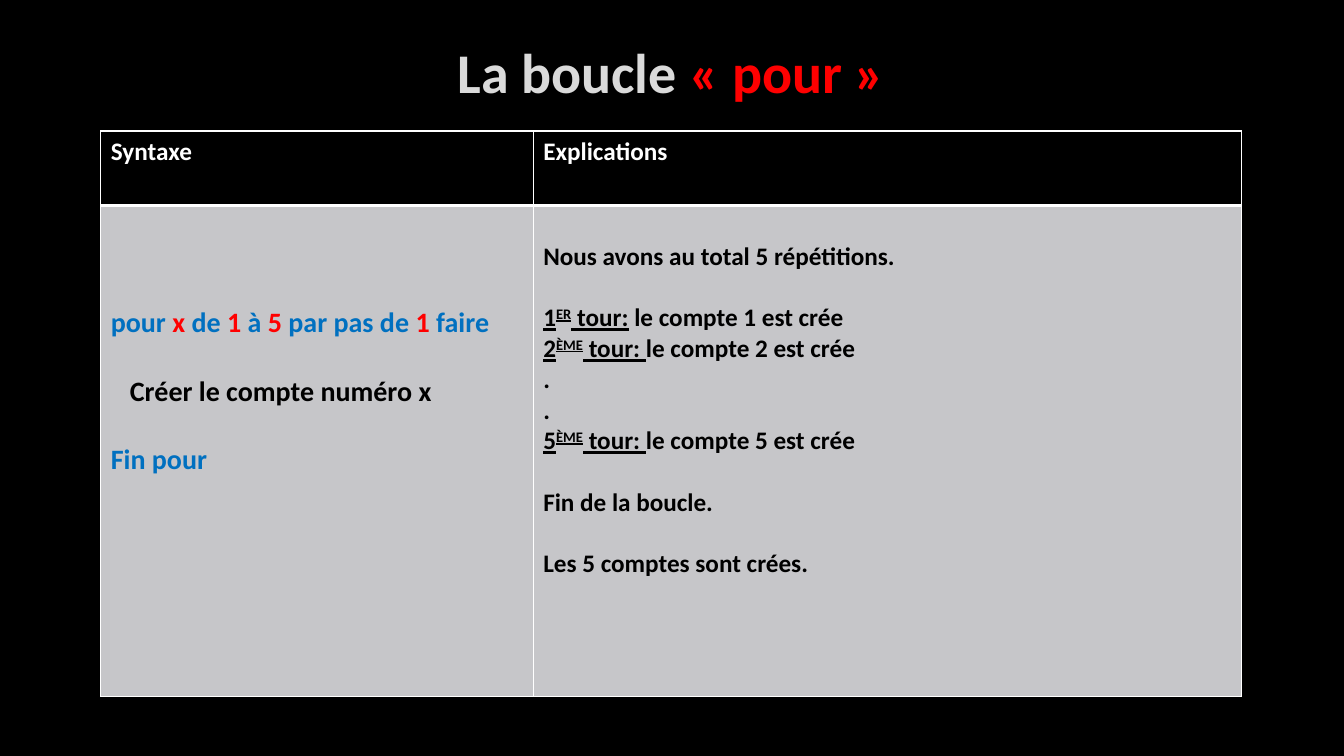
"""Build the slide that explains the « pour » loop with a syntax table."""
from pptx import Presentation
from pptx.dml.color import RGBColor
from pptx.enum.text import MSO_ANCHOR, PP_ALIGN
from pptx.oxml import parse_xml
from pptx.oxml.ns import nsdecls
from pptx.util import Pt

BLACK = RGBColor(0x00, 0x00, 0x00)
WHITE = RGBColor(0xFF, 0xFF, 0xFF)
SILVER = RGBColor(0xDA, 0xDA, 0xDA)
GREY = RGBColor(0xC6, 0xC6, 0xC9)
RED = RGBColor(0xFF, 0x00, 0x00)
BLUE = RGBColor(0x00, 0x70, 0xC0)

PLAIN, UNDERLINED, RAISED = "plain", "underlined", "raised"


def turn(number, ordinal, ending):
    """Return the runs that describe one turn of the loop."""
    return [(number, BLACK, UNDERLINED), (ordinal, BLACK, RAISED),
            (ending, BLACK, UNDERLINED),
            (f"le compte {number} est crée", BLACK, PLAIN)]


TITLE = [("La boucle ", SILVER, PLAIN), ("« pour »", RED, PLAIN)]
HEADINGS = ["Syntaxe", "Explications"]
LOOP_WORDS = ["pour ", "x ", "de ", "1 ", "à ", "5 ", "par pas de ", "1 ", "faire"]
LOOP_LINE = [(word, (BLUE, RED)[place % 2], PLAIN)
             for place, word in enumerate(LOOP_WORDS)]
FIRST_TURN = [("1", BLACK, UNDERLINED), ("ER", BLACK, RAISED),
              (" tour:", BLACK, UNDERLINED), (" le compte 1 est crée", BLACK, PLAIN)]
DOT = [(".", BLACK, PLAIN)]

# Each line: runs, blank lines before it, left indent
SYNTAX = [
    (LOOP_LINE, 0, 0),
    ([("Créer le compte numéro x", BLACK, PLAIN)], 1, 13.6),
    ([("Fin pour", BLUE, PLAIN)], 1, 0),
]
EXPLANATIONS = [
    ([("Nous avons au total 5 répétitions.", BLACK, PLAIN)], 0, 0),
    (FIRST_TURN, 1, 0),
    (turn("2", "ÈME", " tour: "), 0, 0),
    (DOT, 0, 0),
    (DOT, 0, 0),
    (turn("5", "ÈME", " tour: "), 0, 0),
    ([("Fin de la boucle.", BLACK, PLAIN)], 1, 0),
    ([("Les 5 comptes sont crées.", BLACK, PLAIN)], 1, 0),
]

LEFT, WIDTH = 72, 815.04
TITLE_TOP, TITLE_HEIGHT = 12.96, 76.32
TABLE_TOP = 93.6
COLUMN_WIDTHS = [308.88, 506.16]
ROW_HEIGHTS = [53.28, 350.64]
LINE_FACTOR = 1.22
CELL_MARGIN = 3.6
THIN, THICK = 1, 3


def add_runs(paragraph, runs, size):
    """Add formatted runs to a paragraph."""
    for text, color, style in runs:
        run = paragraph.add_run()
        run.text = text
        font = run.font
        font.name, font.size, font.bold = "Calibri", Pt(size), True
        font.color.rgb = color
        if style != PLAIN:
            font.underline = True
        if style == RAISED:
            run._r.get_or_add_rPr().set("baseline", "30000")


def style_cell(cell, fill_color, top, bottom):
    """Give a cell its white borders and its fill."""
    properties = cell._tc.get_or_add_tcPr()
    for side, width in (("L", THIN), ("R", THIN), ("T", top), ("B", bottom)):
        properties.append(parse_xml(
            f'<a:ln{side} {nsdecls("a")} w="{Pt(width)}"><a:solidFill>'
            f'<a:srgbClr val="{WHITE}"/></a:solidFill></a:ln{side}>'))
    cell.fill.solid()
    cell.fill.fore_color.rgb = fill_color


def fill_body(cell, lines, size, blank_height):
    """Write the lines of a body cell below its blank top space."""
    line_height = size * LINE_FACTOR
    cell.margin_top = Pt(CELL_MARGIN + blank_height)
    frame = cell.text_frame
    for place, (runs, blanks, indent) in enumerate(lines):
        paragraph = frame.add_paragraph() if place else frame.paragraphs[0]
        if blanks:
            paragraph.space_before = Pt(blanks * line_height)
        if indent:
            paragraph._p.get_or_add_pPr().set("marL", str(Pt(indent)))
        add_runs(paragraph, runs, size)


def main():
    """Build and save the slide."""
    presentation = Presentation()
    presentation.slide_width, presentation.slide_height = Pt(960), Pt(540)
    slide = presentation.slides.add_slide(presentation.slide_layouts[5])
    slide.background.fill.solid()
    slide.background.fill.fore_color.rgb = BLACK

    title = slide.shapes.title
    title.left, title.top = Pt(LEFT), Pt(TITLE_TOP)
    title.width, title.height = Pt(WIDTH), Pt(TITLE_HEIGHT)
    title.text_frame.vertical_anchor = MSO_ANCHOR.MIDDLE
    heading = title.text_frame.paragraphs[0]
    heading.alignment = PP_ALIGN.CENTER
    add_runs(heading, TITLE, 40)

    table = slide.shapes.add_table(
        len(ROW_HEIGHTS), len(COLUMN_WIDTHS), Pt(LEFT), Pt(TABLE_TOP),
        Pt(WIDTH), Pt(sum(ROW_HEIGHTS))).table
    for column, width in zip(table.columns, COLUMN_WIDTHS):
        column.width = Pt(width)
    for row, height in zip(table.rows, ROW_HEIGHTS):
        row.height = Pt(height)

    for place, text in enumerate(HEADINGS):
        header, body = table.cell(0, place), table.cell(1, place)
        add_runs(header.text_frame.paragraphs[0], [(text, WHITE, PLAIN)], 18)
        style_cell(header, BLACK, THIN, THICK)
        style_cell(body, GREY, THICK, THIN)
    fill_body(table.cell(1, 0), SYNTAX, 20, (18 + 18 + 20) * LINE_FACTOR)
    fill_body(table.cell(1, 1), EXPLANATIONS, 18, 18 * LINE_FACTOR)

    presentation.save("out.pptx")


if __name__ == "__main__":
    main()
